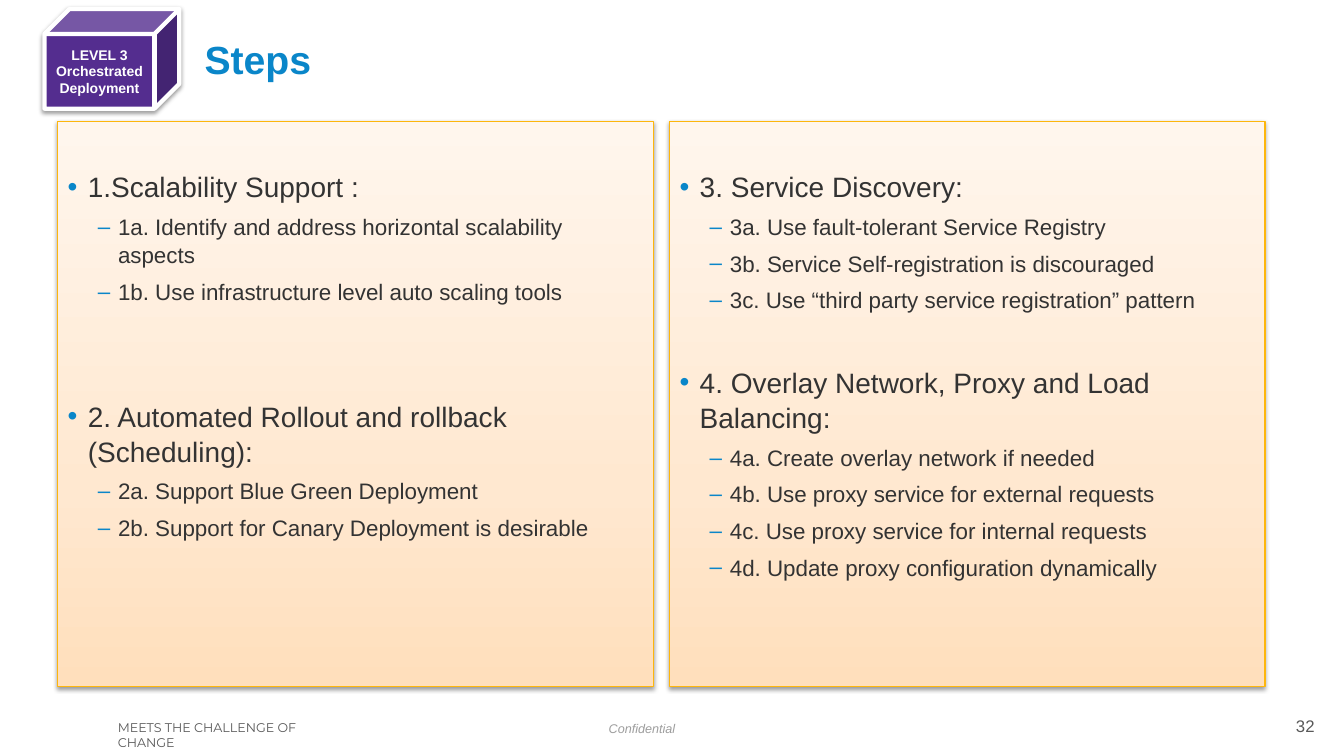
import pptx
import pptx.dml.color
import pptx.enum.shapes
import pptx.enum.text
import pptx.oxml
import pptx.oxml.ns
import pptx.util
from pptx.util import Cm

ALIGN = pptx.enum.text.PP_ALIGN
ANCHOR = pptx.enum.text.MSO_ANCHOR
BLUE, TEXT, GREY = "0A86C9", "333333", "595959"
PANEL_STOPS = [(0, "FFDFBC"), (35, "FFE8D0"), (100, "FFF6ED")]

# Each section: heading, space before it in points, steps
LEFT_SECTIONS = [
    ("1.Scalability Support :", 0, [
        "1a. Identify and address horizontal scalability aspects",
        "1b. Use infrastructure level auto scaling tools"]),
    ("2. Automated Rollout and rollback (Scheduling):", 60, [
        "2a. Support Blue Green Deployment",
        "2b. Support for Canary Deployment is desirable"]),
]
RIGHT_SECTIONS = [
    ("3. Service Discovery:", 0, [
        "3a. Use fault-tolerant Service Registry",
        "3b. Service Self-registration is discouraged",
        "3c. Use “third party service registration” pattern"]),
    ("4. Overlay Network, Proxy and Load Balancing:", 30, [
        "4a. Create overlay network if needed",
        "4b. Use proxy service for external requests",
        "4c. Use proxy service for internal requests",
        "4d. Update proxy configuration dynamically"]),
]


def color(value):
    return pptx.dml.color.RGBColor.from_string(value)


def xml(tag, content):
    """Return a drawing element with the given attributes and children."""
    namespace = pptx.oxml.ns.nsdecls("a")
    return pptx.oxml.parse_xml(f"<a:{tag} {namespace} {content}")


def place(shape, left, top, width, height):
    shape.left, shape.top = Cm(left), Cm(top)
    shape.width, shape.height = Cm(width), Cm(height)


def write(paragraph, text, size=16, fill=TEXT, font="Arial", bold=False,
          italic=False, align=ALIGN.LEFT, before=0, after=0, spacing=1.0):
    paragraph.text = text
    paragraph.alignment = align
    paragraph.line_spacing = spacing
    paragraph.space_before = pptx.util.Pt(before)
    paragraph.space_after = pptx.util.Pt(after)
    paragraph.font.name = font
    paragraph.font.size = pptx.util.Pt(size)
    paragraph.font.bold = bold
    paragraph.font.italic = italic
    paragraph.font.color.rgb = color(fill)


def add_bullet(paragraph, character, indent):
    properties = paragraph._p.get_or_add_pPr()
    properties.set("marL", str(Cm(indent)))
    properties.set("indent", str(-Cm(0.51)))
    properties.append(xml("buClr", f'><a:srgbClr val="{BLUE}"/></a:buClr>'))
    properties.append(xml("buChar", f'char="{character}"/>'))


def add_shadow(shape):
    shape.shadow.inherit = False
    effects = shape._element.spPr.find(pptx.oxml.ns.qn("a:effectLst"))
    effects.append(xml("outerShdw", (
        'blurRad="40000" dist="20000" dir="5400000" rotWithShape="0">'
        '<a:srgbClr val="000000"><a:alpha val="38000"/></a:srgbClr>'
        '</a:outerShdw>')))


def outline(shape, fill, width):
    shape.line.color.rgb = color(fill)
    shape.line.width = pptx.util.Pt(width)


def fill_gradient(shape, stops):
    shape.fill.gradient()
    shape.fill.gradient_angle = 90
    stop_list = shape._element.spPr.find(".//" + pptx.oxml.ns.qn("a:gsLst"))
    for stop in list(stop_list):
        stop_list.remove(stop)
    for position, value in stops:
        stop_list.append(xml("gs", (
            f'pos="{position * 1000}"><a:srgbClr val="{value}"/></a:gs>')))


def add_panel(placeholder, left, sections):
    place(placeholder, left, 3.05, 15.01, 14.25)
    fill_gradient(placeholder, PANEL_STOPS)
    outline(placeholder, "FDB60D", 0.75)
    add_shadow(placeholder)
    frame = placeholder.text_frame
    frame.auto_size = pptx.enum.text.MSO_AUTO_SIZE.NONE
    frame.vertical_anchor = ANCHOR.TOP
    frame.margin_top = Cm(1.19)
    paragraph = frame.paragraphs[0]
    for number, (heading, before, steps) in enumerate(sections):
        if number:
            paragraph = frame.add_paragraph()
        add_bullet(paragraph, "•", 0.51)
        write(paragraph, heading, size=20, before=before, after=6, spacing=1.05)
        for step in steps:
            paragraph = frame.add_paragraph()
            paragraph.level = 1
            add_bullet(paragraph, "–", 1.27)
            write(paragraph, step, after=6, spacing=1.05)


def add_level_cube(slide, lines):
    cube = slide.shapes.add_shape(
        pptx.enum.shapes.MSO_SHAPE.CUBE, Cm(1.12), Cm(0.23), Cm(3.4), Cm(2.51))
    cube.fill.solid()
    cube.fill.fore_color.rgb = color("542D8F")
    outline(cube, "FFFFFF", 3)
    add_shadow(cube)
    frame = cube.text_frame
    frame.vertical_anchor = ANCHOR.MIDDLE
    frame.margin_left = frame.margin_right = 0
    for number, line in enumerate(lines):
        paragraph = frame.add_paragraph() if number else frame.paragraphs[0]
        write(paragraph, line, size=10, fill="FFFFFF", bold=True,
              align=ALIGN.CENTER)


def add_label(slide, text, left, top, width, height, **text_format):
    box = slide.shapes.add_textbox(Cm(left), Cm(top), Cm(width), Cm(height))
    box.text_frame.word_wrap = True
    write(box.text_frame.paragraphs[0], text, **text_format)


def set_title(title, text):
    place(title, 4.9, 0.71, 26.21, 1.55)
    title.text_frame.auto_size = pptx.enum.text.MSO_AUTO_SIZE.NONE
    title.text_frame.vertical_anchor = ANCHOR.MIDDLE
    write(title.text_frame.paragraphs[0], text, size=28, fill=BLUE, bold=True)


def main():
    presentation = pptx.Presentation()
    presentation.slide_width, presentation.slide_height = Cm(33.87), Cm(19.05)
    slide = presentation.slides.add_slide(presentation.slide_layouts[3])
    set_title(slide.shapes.title, "Steps")
    add_panel(slide.placeholders[1], 1.45, LEFT_SECTIONS)
    add_panel(slide.placeholders[2], 16.87, RIGHT_SECTIONS)
    add_level_cube(slide, ["LEVEL 3", "Orchestrated", "Deployment"])
    add_label(slide, "MEETS THE CHALLENGE OF CHANGE", 2.72, 18.01, 6.38, 0.64,
              size=9, fill=GREY, font="Montserrat")
    add_label(slide, "Confidential", 15.09, 18.03, 2.4, 0.64,
              size=9, fill="9D9D9D", italic=True)
    add_label(slide, "32", 31.29, 17.91, 2.09, 0.76,
              size=12, fill=GREY, align=ALIGN.RIGHT)
    presentation.save("out.pptx")


if __name__ == "__main__":
    main()
